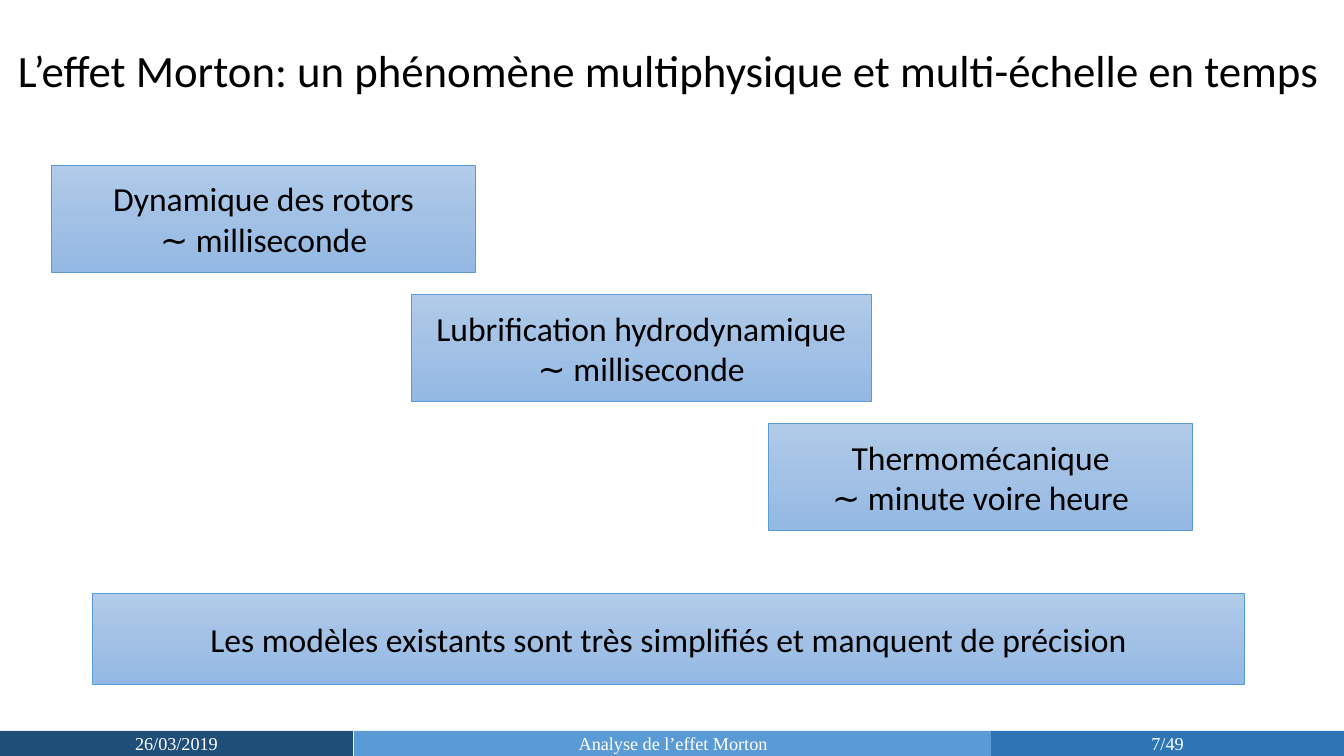
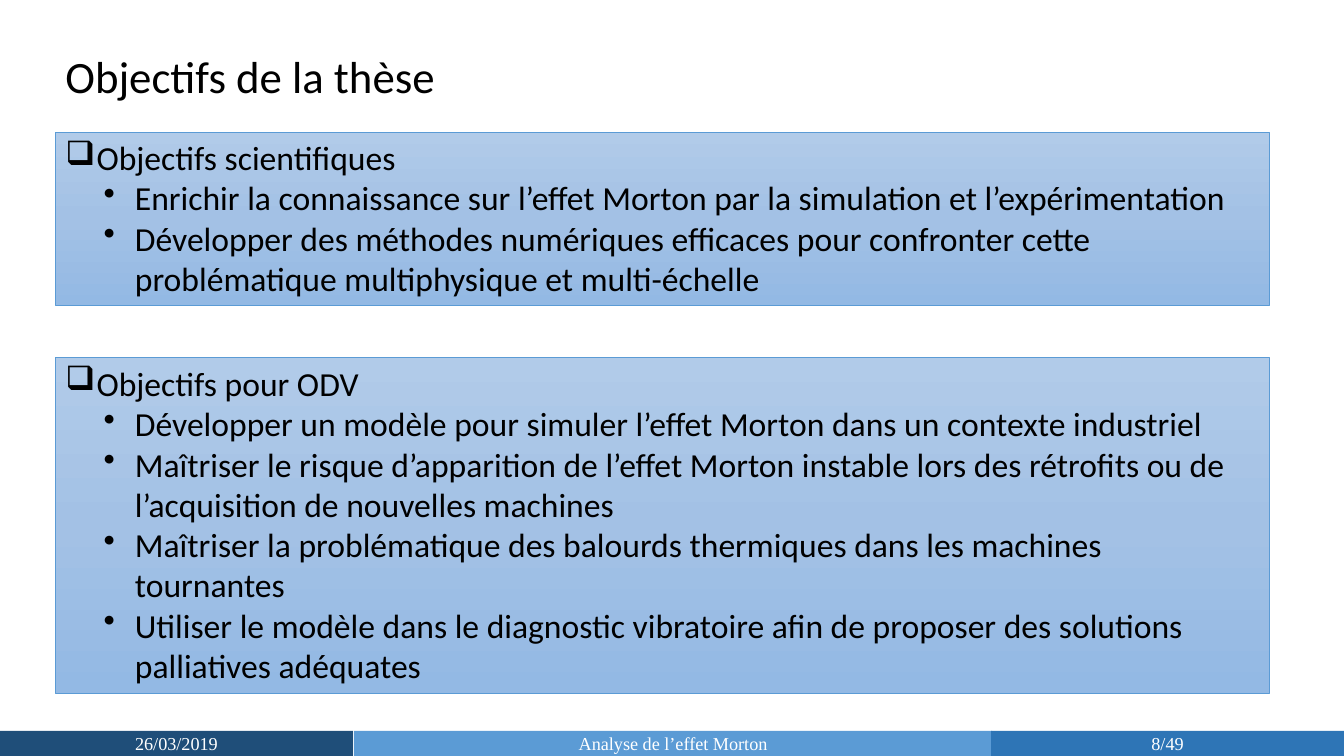
from copy import deepcopy
from dataclasses import dataclass

from lxml import etree
from pptx import Presentation
from pptx import util as u
from pptx.dml.color import RGBColor
from pptx.enum import shapes, text
from pptx.oxml import ns

PX = 9144
WIDTH, HEIGHT = 1333, 750


@dataclass(frozen=True)
class Theme:
    ink: str = "000000"
    footer_ink: str = "FFFFFF"
    date_band: str = "1F4E79"
    subject_band: str = "5B9BD5"
    page_band: str = "2E75B6"
    card_line: str = "5B9BD5"
    card_stops: tuple = ((0, "B1CBE9"), (0.5, "A3C1E5"), (1, "93B9E4"))
    body_font: str = "Calibri"
    footer_font: str = "Times New Roman"
    title_size: int = 32
    body_size: int = 24
    footer_size: int = 13


THEME = Theme()


def px(*lengths):
    return [u.Emu(length * PX) for length in lengths]


def rgb(color):
    return RGBColor.from_string(color)


def set_font(paragraph, name, size, color):
    paragraph.font.name = name
    paragraph.font.size = u.Pt(size)
    paragraph.font.color.rgb = rgb(color)


def add_bullet(paragraph, character, margin, hanging):
    properties = paragraph._p.get_or_add_pPr()
    properties.set("marL", str(margin * PX))
    properties.set("indent", str(-hanging * PX))
    bullet = etree.SubElement(properties, ns.qn("a:buChar"))
    bullet.set("char", character)


def add_paragraphs(frame, lines):
    frame.text = "\n".join(lines)
    return frame.paragraphs


def add_rectangle(slide, box):
    shape = slide.shapes.add_shape(shapes.MSO_SHAPE.RECTANGLE, *px(*box))
    shape.shadow.inherit = False
    shape.text_frame.word_wrap = True
    return shape


def add_band(slide, left, width, color, label):
    shape = add_rectangle(slide, (left, 725, width, 25))
    shape.fill.solid()
    shape.fill.fore_color.rgb = rgb(color)
    shape.line.fill.background()
    frame = shape.text_frame
    frame.margin_top = frame.margin_bottom = 0
    frame.vertical_anchor = text.MSO_ANCHOR.MIDDLE
    paragraph = add_paragraphs(frame, [label])[0]
    paragraph.alignment = text.PP_ALIGN.CENTER
    set_font(paragraph, THEME.footer_font, THEME.footer_size, THEME.footer_ink)


def add_footer(slide, page):
    add_band(slide, 0, 350, THEME.date_band, "26/03/2019")
    add_band(slide, 351, 633, THEME.subject_band, "Analyse de l’effet Morton")
    add_band(slide, 983, 350, THEME.page_band, f"{page}/49")


def add_title(slide, box, title, wrap=True):
    frame = slide.shapes.add_textbox(*px(*box)).text_frame
    frame.word_wrap = wrap
    paragraph = add_paragraphs(frame, [title])[0]
    set_font(paragraph, THEME.body_font, THEME.title_size, THEME.ink)


def add_card(slide, box):
    shape = add_rectangle(slide, box)
    fill = shape.fill
    fill.gradient()
    fill.gradient_angle = 270
    stop_list = shape._element.spPr.find(".//" + ns.qn("a:gsLst"))
    stop_list.insert(1, deepcopy(stop_list[0]))
    for stop, (position, color) in zip(fill.gradient_stops, THEME.card_stops):
        stop.position = position
        stop.color.rgb = rgb(color)
    shape.line.color.rgb = rgb(THEME.card_line)
    shape.line.width = u.Pt(0.5)
    return shape.text_frame


def add_centred_card(slide, box, lines):
    frame = add_card(slide, box)
    frame.vertical_anchor = text.MSO_ANCHOR.MIDDLE
    for paragraph in add_paragraphs(frame, lines):
        paragraph.alignment = text.PP_ALIGN.CENTER
        set_font(paragraph, THEME.body_font, THEME.body_size, THEME.ink)


def add_objectives_card(slide, top, height, heading, objectives):
    frame = add_card(slide, (55, top, 1204, height))
    frame.vertical_anchor = text.MSO_ANCHOR.TOP
    for index, paragraph in enumerate(add_paragraphs(frame, [heading, *objectives])):
        paragraph.alignment = text.PP_ALIGN.LEFT
        if index == 0:
            add_bullet(paragraph, "❑", 31, 31)
        else:
            paragraph.level = 1
            add_bullet(paragraph, "•", 69, 31)
        set_font(paragraph, THEME.body_font, THEME.body_size, THEME.ink)


def add_slide(presentation, page):
    slide = presentation.slides.add_slide(presentation.slide_layouts[6])
    add_footer(slide, page)
    return slide


def build_time_scales(presentation):
    slide = add_slide(presentation, 7)
    add_title(
        slide,
        (8, 37, 1325, 64),
        "L’effet Morton: un phénomène multiphysique et multi-échelle en temps",
        wrap=False,
    )
    steps = [
        (51, 421, "Dynamique des rotors", "∼ milliseconde"),
        (408, 456, "Lubrification hydrodynamique", "∼ milliseconde"),
        (762, 421, "Thermomécanique", "∼ minute voire heure"),
    ]
    for index, (left, width, *lines) in enumerate(steps):
        add_centred_card(slide, (left, 164 + 128 * index, width, 106), lines)
    add_centred_card(
        slide,
        (92, 589, 1142, 90),
        ["Les modèles existants sont très simplifiés et manquent de précision"],
    )


def build_objectives(presentation):
    slide = add_slide(presentation, 8)
    add_title(slide, (55, 43, 960, 64), "Objectifs de la thèse")
    add_objectives_card(slide, 131, 172, "Objectifs scientifiques", [
        "Enrichir la connaissance sur l’effet Morton par la simulation et l’expérimentation",
        "Développer des méthodes numériques efficaces pour confronter cette "
        "problématique multiphysique et multi-échelle",
    ])
    add_objectives_card(slide, 355, 333, "Objectifs pour ODV", [
        "Développer un modèle pour simuler l’effet Morton dans un contexte industriel",
        "Maîtriser le risque d’apparition de l’effet Morton instable lors des rétrofits ou de "
        "l’acquisition de nouvelles machines",
        "Maîtriser la problématique des balourds thermiques dans les machines tournantes",
        "Utiliser le modèle dans le diagnostic vibratoire afin de proposer des solutions "
        "palliatives adéquates",
    ])


def main():
    presentation = Presentation()
    presentation.slide_width, presentation.slide_height = px(WIDTH, HEIGHT)
    build_time_scales(presentation)
    build_objectives(presentation)
    presentation.save("out.pptx")


if __name__ == "__main__":
    main()
